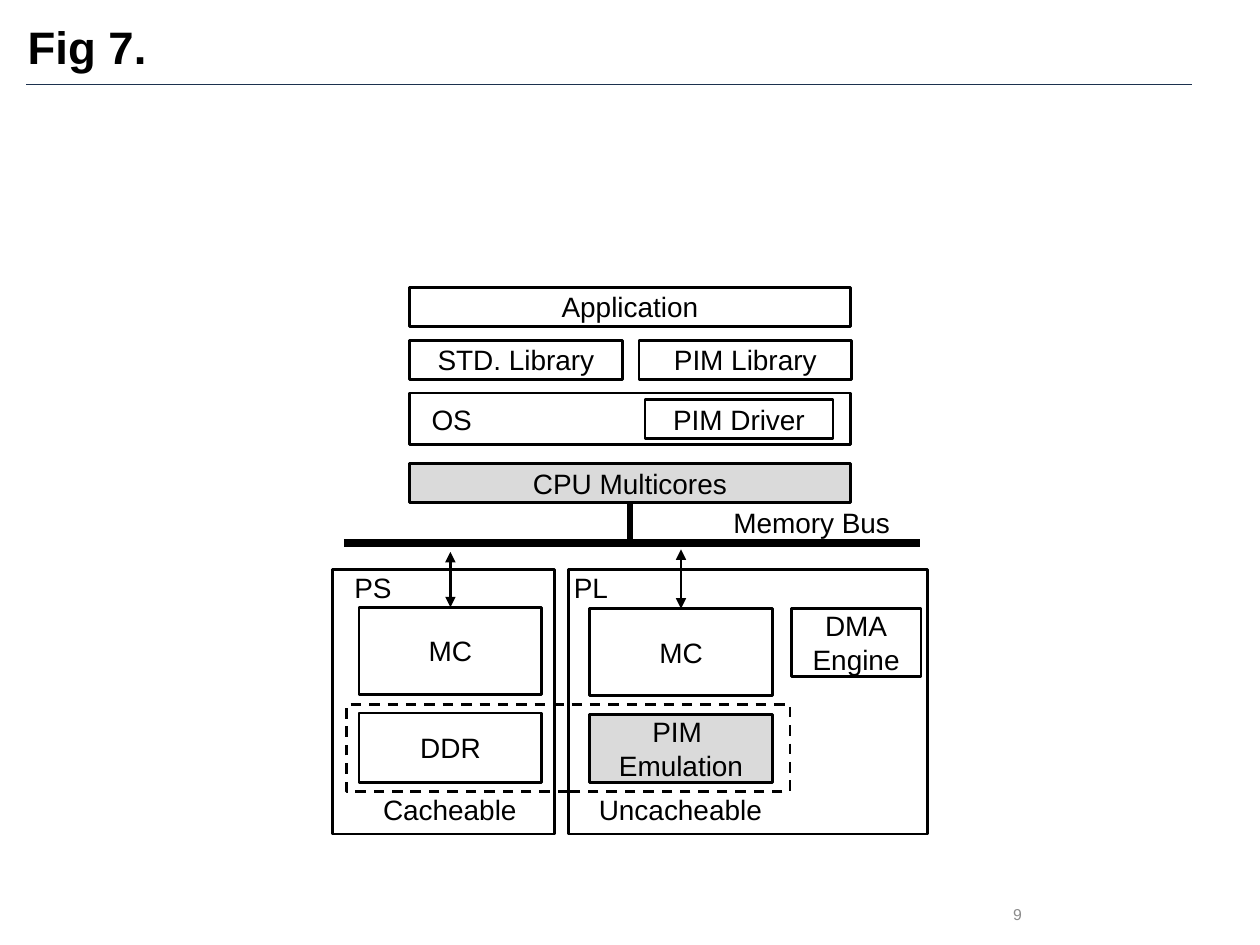
from dataclasses import dataclass

from lxml.etree import SubElement
from pptx import Presentation
from pptx.dml.color import RGBColor
from pptx.enum.dml import MSO_LINE
from pptx.enum.shapes import MSO_CONNECTOR, MSO_SHAPE
from pptx.enum.text import MSO_ANCHOR, PP_ALIGN
from pptx.oxml.ns import qn
from pptx.util import Inches, Pt


@dataclass(frozen=True)
class Theme:
    font: str = "Arial"
    ink: str = "000000"
    shade: str = "DADADA"
    rule: str = "1C314E"
    muted: str = "8C8C8C"
    title: int = 26
    body: int = 16
    small: int = 9
    outline: float = 1.5


T = Theme()
TOP, BOTTOM = 0, 2  # connection sites of a rectangle

# The slide is a grid of 100 columns by 75 rows
COLS, ROWS = 100, 75
WIDTH, HEIGHT = Inches(10), Inches(7.5)


def col(n):
    return round(WIDTH * n / COLS)


def row(n):
    return round(HEIGHT * n / ROWS)


def place(x, y, w, h):
    return col(x), row(y), col(w), row(h)


def write(sp, text, size=T.body, color=T.ink, bold=False, align=PP_ALIGN.CENTER,
          anchor=MSO_ANCHOR.MIDDLE):
    tf = sp.text_frame
    tf.word_wrap = True
    tf.vertical_anchor = anchor
    tf.margin_left = tf.margin_right = tf.margin_top = tf.margin_bottom = 0
    p = tf.paragraphs[0]
    p.alignment = align
    for i, line in enumerate(text.split("\n")):
        if i:
            p.add_line_break()
        r = p.add_run()
        r.text = line
        r.font.name, r.font.size, r.font.bold = T.font, Pt(size), bold
        r.font.color.rgb = RGBColor.from_string(color)


def add_label(s, text, x, y, w, h, **style):
    write(s.shapes.add_textbox(*place(x, y, w, h)), text, **style)


def add_box(s, x, y, w, h, text="", fill=None, dash=None):
    sp = s.shapes.add_shape(MSO_SHAPE.RECTANGLE, *place(x, y, w, h))
    sp.shadow.inherit = False
    if fill:
        sp.fill.solid()
        sp.fill.fore_color.rgb = RGBColor.from_string(fill)
    else:
        sp.fill.background()
    sp.line.color.rgb = RGBColor.from_string(T.ink)
    sp.line.width = Pt(T.outline)
    if dash:
        sp.line.dash_style = dash
    if text:
        write(sp, text)
    return sp


def add_line(s, x1, y1, x2, y2, width=T.outline, color=T.ink, arrows=False):
    cx = s.shapes.add_connector(MSO_CONNECTOR.STRAIGHT, col(x1), row(y1), col(x2), row(y2))
    cx.line.width = Pt(width)
    cx.line.color.rgb = RGBColor.from_string(color)
    if arrows:
        for end in ("a:headEnd", "a:tailEnd"):
            SubElement(cx.line._get_or_add_ln(), qn(end), type="triangle")
    SubElement(cx._element.spPr, qn("a:effectLst"))
    return cx


def add_header(s):
    add_line(s, 2.1, 6.7, 94.6, 6.7, width=1, color=T.rule)
    add_label(s, "Fig 7.", 2.2, 1.55, 90, 5, size=T.title, bold=True,
              align=PP_ALIGN.LEFT, anchor=MSO_ANCHOR.TOP)
    add_label(s, "9", 78.3, 70.6, 4.9, 4, size=T.small, color=T.muted)


def add_software_stack(s):
    left, width, height = 32.5, 35, 3.1
    half = 16.9
    add_box(s, left, 22.8, width, height, "Application")
    add_box(s, left, 27, half, height, "STD. Library")
    add_box(s, left + width - half + 0.1, 27, half, height, "PIM Library")
    add_box(s, left, 31.2, width, 4.1)
    add_box(s, 51.2, 31.7, 14.9, height, "PIM Driver")
    add_label(s, "OS", 32.4, 31.4, 6.9, 3.7)
    return add_box(s, left, 36.8, width, height, "CPU Multicores", fill=T.shade)


def add_memory_bus(s, cores):
    bus = 43.1
    add_line(s, 27.3, bus, 73, bus, width=4.5)
    stem = add_line(s, 50, 39.9, 50, bus, width=3)
    stem.begin_connect(cores, BOTTOM)
    add_label(s, "Memory Bus", 58.2, 39.6, 13.4, 3.7, align=PP_ALIGN.LEFT)


def add_memory_side(s, frame, name, name_x, x, mc_y, arrow_y, memory, memory_y,
                    memory_h, fill, caption):
    """A frame with a controller on the bus and a memory block below it."""
    width = 14.5
    middle = x + width / 2
    controller = add_box(s, x, mc_y, width, 6.9, "MC")
    add_box(s, x, memory_y, width, memory_h, memory, fill=fill)
    arrow = add_line(s, middle, arrow_y, middle, mc_y, arrows=True)
    arrow.end_connect(controller, TOP)
    add_box(s, frame[0], 45.2, frame[1], 21)
    add_label(s, name, name_x, 45.3, 4, 2.7)
    add_label(s, caption, x - 0.1, 62.9, 14.6, 2.7)


def main():
    prs = Presentation()
    prs.slide_width, prs.slide_height = WIDTH, HEIGHT
    s = prs.slides.add_slide(prs.slide_layouts[6])

    add_header(s)

    # Software layers on the processor, joined to the bus
    cores = add_software_stack(s)
    add_memory_bus(s, cores)

    # Processing system and programmable logic
    add_memory_side(s, (26.4, 17.6), "PS", 27.6, 28.5, 48.2, 43.8,
                    "DDR", 56.6, 5.5, None, "Cacheable")
    add_memory_side(s, (45.1, 28.5), "PL", 44.9, 46.8, 48.3, 43.6,
                    "PIM \nEmulation", 56.7, 5.4, T.shade, "Uncacheable")
    add_box(s, 62.8, 48.3, 10.3, 5.4, "DMA\nEngine")

    # Address space shared by both memories
    add_box(s, 27.5, 55.9, 35.2, 6.9, dash=MSO_LINE.DASH)

    prs.save("out.pptx")


if __name__ == "__main__":
    main()
